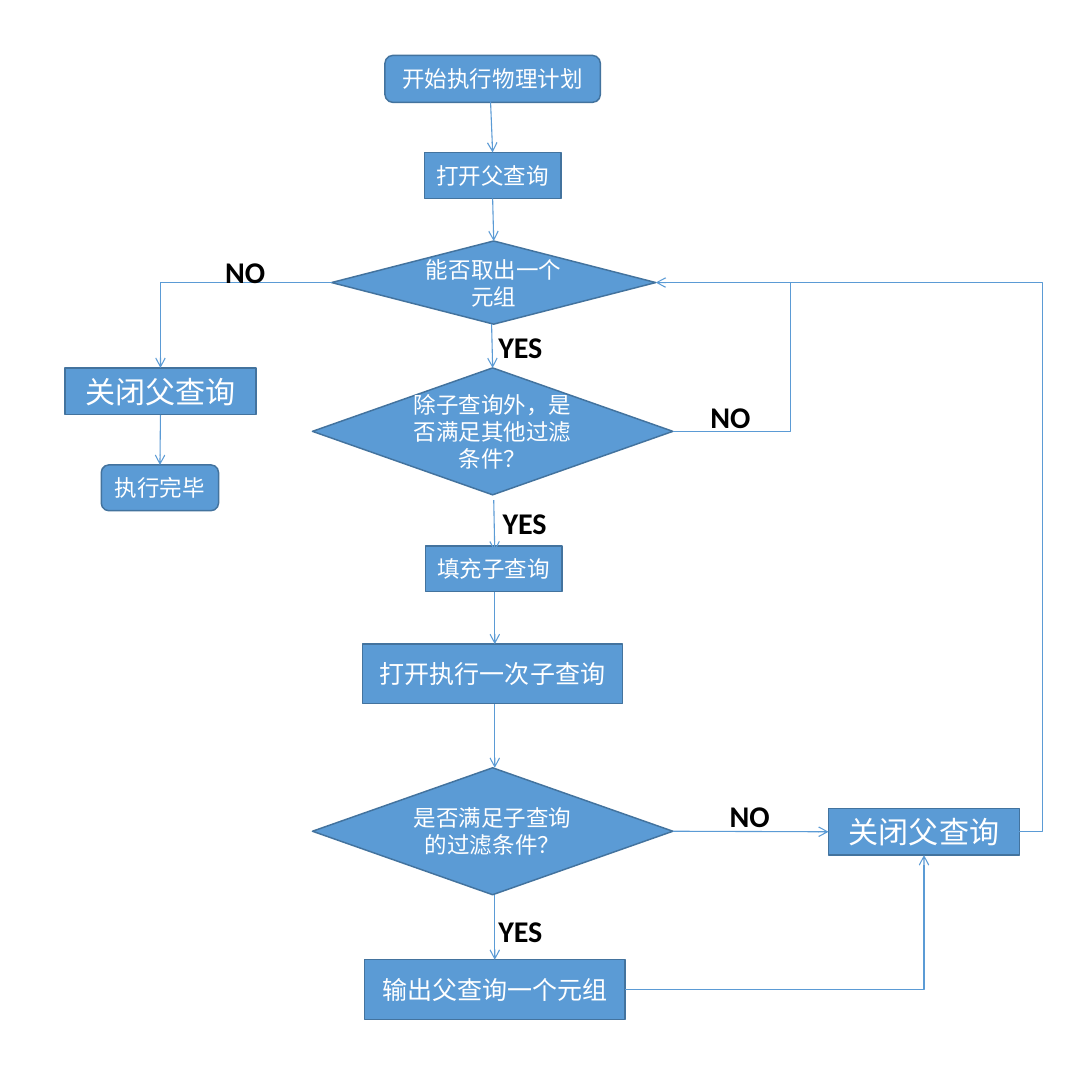
from typing import NamedTuple, Optional, Union

from lxml.etree import SubElement
from pptx import Presentation
from pptx.dml.color import RGBColor
from pptx.enum.shapes import MSO_CONNECTOR as Conn, MSO_SHAPE as Kind
from pptx.enum.text import MSO_ANCHOR as Anchor, MSO_AUTO_SIZE as Fit, PP_ALIGN as Align
from pptx.oxml.ns import qn
from pptx.util import Inches, Pt

FILL, EDGE, LINE, WHITE, BLACK = "5B9BD5", "43739E", "5B9BD5", "FFFFFF", "000000"
TOP, LEFT, BOTTOM, RIGHT = range(4)
RECT, ROUND, RHOMB = Kind.RECTANGLE, Kind.ROUNDED_RECTANGLE, Kind.DIAMOND


class Node(NamedTuple):
    kind: int
    text: str
    x: float
    y: float
    w: float
    h: float
    size: float = 15.2


class Site(NamedTuple):
    name: str
    side: int


class Spot(NamedTuple):
    x: float
    y: float


class Link(NamedTuple):
    start: Union[Site, Spot]
    end: Union[Site, Spot]
    bend: str = ""
    adj: Optional[int] = None
    width: float = 0.75
    arrow: bool = True


class Label(NamedTuple):
    text: str
    x: float
    y: float


NODES = {
    "start": Node(ROUND, "开始执行物理计划", 3.61, 0.52, 2.02, 0.44),
    "open": Node(RECT, "打开父查询", 3.98, 1.43, 1.28, 0.43),
    "fetch": Node(RHOMB, "能否取出一个元组", 3.11, 2.26, 3.04, 0.78),
    "close": Node(RECT, "关闭父查询", 0.61, 3.45, 1.79, 0.44, 20.3),
    "done": Node(ROUND, "执行完毕", 0.95, 4.36, 1.1, 0.43),
    "sieve": Node(RHOMB, "除子查询外，是否满足其他过滤条件？", 2.93, 3.45, 3.38, 1.19),
    "load": Node(RECT, "填充子查询", 3.99, 5.12, 1.28, 0.43),
    "run": Node(RECT, "打开执行一次子查询", 3.4, 6.04, 2.44, 0.56, 16.9),
    "test": Node(RHOMB, "是否满足子查询的过滤条件？", 2.93, 7.2, 3.38, 1.19),
    "shut": Node(RECT, "关闭父查询", 7.77, 7.58, 1.79, 0.44, 20.3),
    "yield": Node(RECT, "输出父查询一个元组", 3.42, 9, 2.44, 0.56, 16.9),
}

LINKS = [
    Link(Spot(4.6, 0.95), Site("open", TOP)),
    Link(Spot(4.62, 1.86), Site("fetch", TOP)),
    Link(Spot(4.61, 3.04), Site("sieve", TOP)),
    Link(Spot(4.63, 4.69), Spot(4.64, 5.17)),
    Link(Spot(4.64, 5.55), Spot(4.64, 6.04)),
    Link(Spot(4.64, 6.6), Spot(4.64, 7.2)),
    Link(Spot(4.64, 8.39), Site("yield", TOP)),
    Link(Site("close", BOTTOM), Site("done", TOP)),
    Link(Site("test", RIGHT), Site("shut", LEFT)),
    Link(Site("fetch", LEFT), Site("close", TOP), "bentConnector2"),
    Link(Site("yield", RIGHT), Site("shut", BOTTOM), "bentConnector2"),
    Link(Site("shut", RIGHT), Site("fetch", RIGHT), "bentConnector3", -6300),
    Link(Site("sieve", RIGHT), Spot(7.41, 2.65), "bentConnector2", width=0.5, arrow=False),
]

LABELS = [
    Label("NO", 1.92, 2.33), Label("YES", 4.5, 3.03), Label("NO", 6.47, 3.69),
    Label("YES", 4.54, 4.68), Label("NO", 6.65, 7.43), Label("YES", 4.5, 8.51),
]


def color(code: str) -> RGBColor:
    return RGBColor.from_string(code)


def write(shape, text: str, *, size: float, ink: str, bold: bool = False) -> None:
    frame = shape.text_frame
    frame.word_wrap = True
    para = frame.paragraphs[0]
    para.alignment = Align.CENTER
    run = para.add_run()
    run.text = text
    font = run.font
    font.name, font.size, font.bold = "Calibri", Pt(size), bold
    font.color.rgb = color(ink)


def add_node(slide, node: Node):
    shape = slide.shapes.add_shape(node.kind, *map(Inches, (node.x, node.y, node.w, node.h)))
    shape.shadow.inherit = False
    shape.fill.solid()
    shape.fill.fore_color.rgb = color(FILL)
    shape.line.color.rgb = color(EDGE)
    shape.line.width = Pt(1)
    frame = shape.text_frame
    frame.vertical_anchor = Anchor.MIDDLE
    frame.margin_left = frame.margin_right = Inches(0.08)
    frame.margin_top = frame.margin_bottom = Inches(0.04)
    write(shape, node.text, size=node.size, ink=WHITE)
    return shape


def locate(end: Union[Site, Spot]) -> Spot:
    if isinstance(end, Spot):
        return end
    node = NODES[end.name]
    dx, dy = ((0.5, 0), (0, 0.5), (0.5, 1), (1, 0.5))[end.side]
    return Spot(node.x + dx * node.w, node.y + dy * node.h)


def add_link(slide, link: Link, shapes: dict) -> None:
    kind = Conn.ELBOW if link.bend else Conn.STRAIGHT
    ends = (*locate(link.start), *locate(link.end))
    line = slide.shapes.add_connector(kind, *map(Inches, ends))
    for end, join in ((link.start, line.begin_connect), (link.end, line.end_connect)):
        if isinstance(end, Site):
            join(shapes[end.name], end.side)
    line.line.color.rgb = color(LINE)
    line.line.width = Pt(link.width)
    props = line._element.spPr
    if link.bend:
        geom = props.find(qn("a:prstGeom"))
        geom.set("prst", link.bend)
        if link.adj is not None:
            SubElement(geom.find(qn("a:avLst")), qn("a:gd"), name="adj1", fmla=f"val {link.adj}")
    if link.arrow:
        SubElement(props.find(qn("a:ln")), qn("a:tailEnd"), type="arrow")
    SubElement(props, qn("a:effectLst"))


def add_label(slide, label: Label) -> None:
    box = slide.shapes.add_textbox(*map(Inches, (label.x, label.y, 0.76, 0.44)))
    box.text_frame.auto_size = Fit.SHAPE_TO_FIT_TEXT
    write(box, label.text, size=20.3, ink=BLACK, bold=True)


def main() -> None:
    deck = Presentation()
    deck.slide_width = deck.slide_height = Inches(10.24)
    slide = deck.slides.add_slide(deck.slide_layouts[6])

    # Steps and decisions
    shapes = {name: add_node(slide, node) for name, node in NODES.items()}

    # Flow arrows
    for link in LINKS:
        add_link(slide, link, shapes)

    # Branch labels
    for label in LABELS:
        add_label(slide, label)

    deck.save("out.pptx")


if __name__ == "__main__":
    main()
